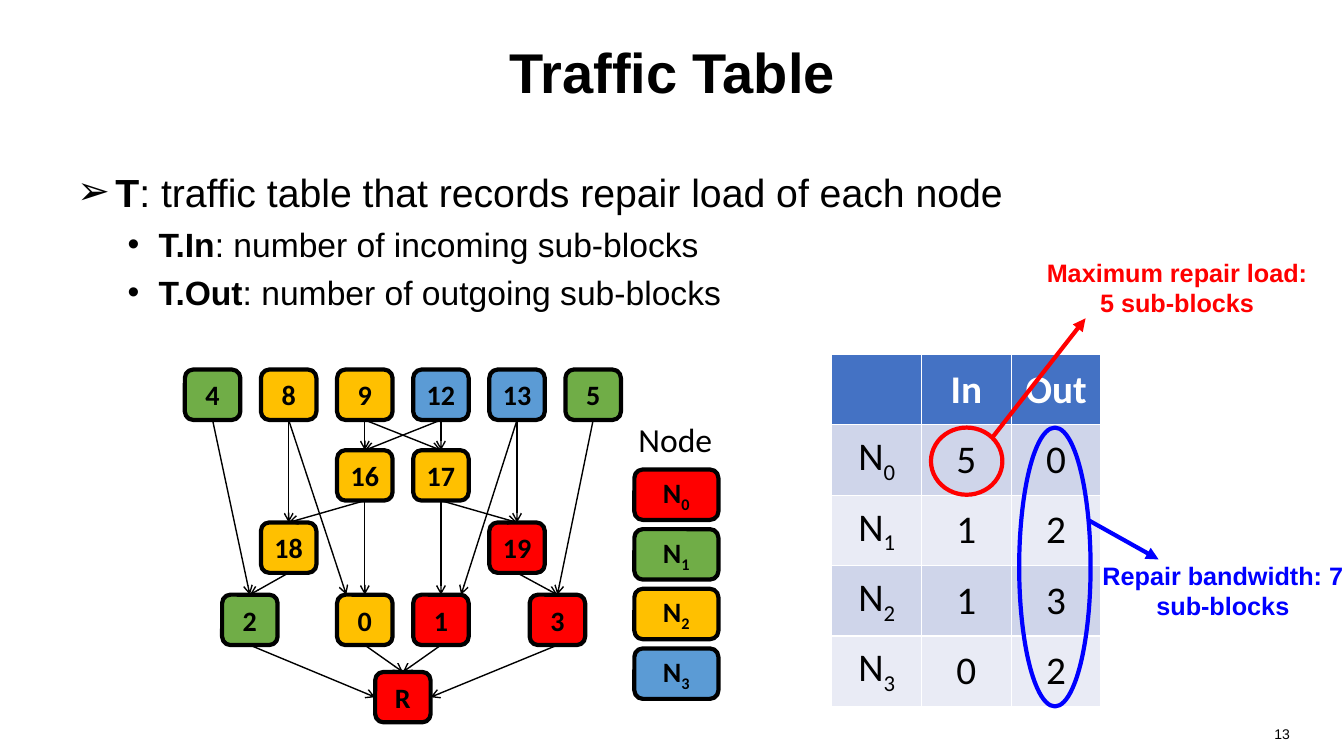
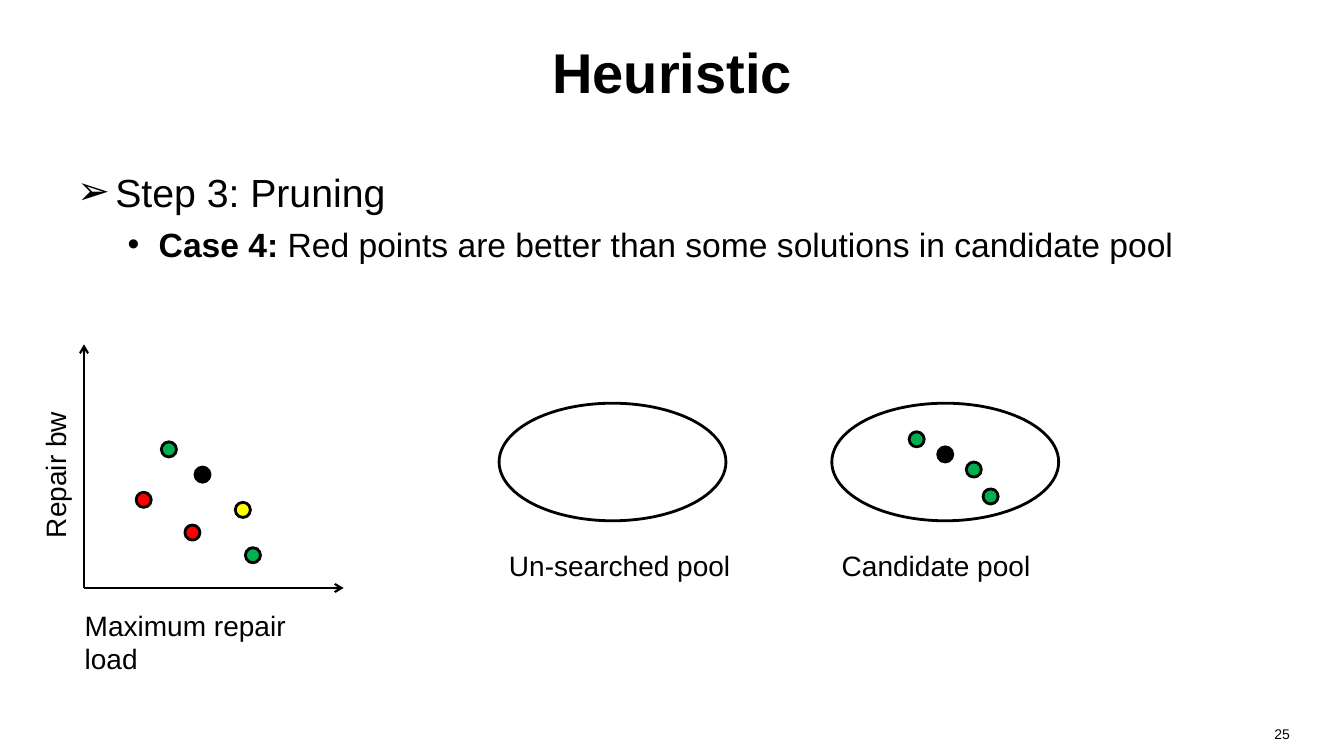
"""Build two slides on repair traffic, laid out on a grid of 160 columns by 90 rows."""
from dataclasses import dataclass
from typing import Any, NamedTuple, Optional, Sequence

from lxml import etree
from pptx import Presentation
from pptx.dml.color import RGBColor
from pptx.enum.shapes import MSO_CONNECTOR, MSO_SHAPE
from pptx.enum.text import MSO_ANCHOR, PP_ALIGN
from pptx.oxml.ns import qn
from pptx.util import Emu, Inches, Pt

LEFT, CENTER, RIGHT = PP_ALIGN.LEFT, PP_ALIGN.CENTER, PP_ALIGN.RIGHT
TOP, MIDDLE = MSO_ANCHOR.TOP, MSO_ANCHOR.MIDDLE
OVAL, ROUNDED = MSO_SHAPE.OVAL, MSO_SHAPE.ROUNDED_RECTANGLE
STRAIGHT = MSO_CONNECTOR.STRAIGHT

BLACK = RGBColor(0x00, 0x00, 0x00)
WHITE = RGBColor(0xFF, 0xFF, 0xFF)
RED = RGBColor(0xFF, 0x00, 0x00)
BLUE = RGBColor(0x00, 0x00, 0xFF)
YELLOW = RGBColor(0xFF, 0xFF, 0x00)
EMERALD = RGBColor(0x00, 0xB0, 0x50)
GREEN = RGBColor(0x70, 0xAD, 0x47)
AMBER = RGBColor(0xFF, 0xC0, 0x00)
SKY = RGBColor(0x5B, 0x9B, 0xD5)
HEADER = RGBColor(0x44, 0x72, 0xC4)
BANDS = (RGBColor(0xCF, 0xD5, 0xEA), RGBColor(0xE9, 0xEB, 0xF5))
NODE_FILLS = (RED, GREEN, AMBER, SKY)

SLIDE_W, SLIDE_H = Inches(13.33), Inches(7.5)
UNIT = SLIDE_H / 90

TITLE = {"name": "Arial", "size": Pt(40), "bold": True}
BODY = ({"name": "Arial", "size": Pt(28)}, {"name": "Arial", "size": Pt(24)})
FOOTER = {"name": "Arial", "size": Pt(10)}
CAPTION = {"name": "Arial", "size": Pt(20)}
CALLOUT = {"name": "Arial", "size": Pt(18), "bold": True}
NODE = {"name": "Calibri", "size": Pt(20), "bold": True}
LEGEND = {"name": "Calibri", "size": Pt(24)}
CELL = {"name": "Calibri", "size": Pt(28), "bold": False}
HEAD_CELL = {**CELL, "bold": True}


class Box(NamedTuple):
    """A rectangle in grid columns and rows."""
    x: float
    y: float
    w: float
    h: float


class Run(NamedTuple):
    """A piece of text with its own weight or baseline."""
    text: str
    bold: Optional[bool] = None
    sub: bool = False


class Bullet(NamedTuple):
    """A bulleted paragraph at a level of the body."""
    level: int
    runs: Sequence[Run]


@dataclass(frozen=True)
class GraphNode:
    """A block of the repair graph, placed by column and level."""
    name: str
    col: float
    level: int
    owner: int

    @property
    def box(self) -> Box:
        return Box(22 + 9.06 * self.col, LEVELS[self.level], 6.6, 6)


@dataclass(frozen=True)
class Edge:
    """An arrow between blocks, its end moved from the top centre."""
    src: str
    dst: str
    dx: float = 0
    dy: float = 0


@dataclass(frozen=True)
class Dot:
    """A solution point."""
    x: float
    y: float
    fill: RGBColor


@dataclass(frozen=True)
class Callout:
    """A ring, its arrow and its remark, in one colour."""
    ring: Box
    arrow: tuple[float, float, float, float]
    text: str
    box: Box
    color: RGBColor


LEVELS = (44, 53.6, 62.2, 70.8, 80)
GRAPH = (
    GraphNode("4", 0, 0, 1), GraphNode("8", 1, 0, 2), GraphNode("9", 2, 0, 2),
    GraphNode("12", 3, 0, 3), GraphNode("13", 4, 0, 3), GraphNode("5", 5, 0, 1),
    GraphNode("16", 2, 1, 2), GraphNode("17", 3, 1, 2),
    GraphNode("18", 1, 2, 2), GraphNode("19", 4, 2, 0),
    GraphNode("2", 0.49, 3, 1), GraphNode("0", 2, 3, 2),
    GraphNode("1", 3, 3, 0), GraphNode("3", 4.53, 3, 0),
    GraphNode("R", 2.5, 4, 0),
)
EDGES = (
    Edge("9", "16"), Edge("9", "17"), Edge("12", "17"), Edge("12", "16"),
    Edge("8", "18"), Edge("8", "0", -2.2), Edge("16", "18"), Edge("16", "0"),
    Edge("17", "1"), Edge("17", "19"), Edge("13", "1", 2.4), Edge("13", "19"),
    Edge("4", "2"), Edge("18", "2"), Edge("19", "3"), Edge("5", "3"),
    Edge("2", "R", -3.3, 3), Edge("0", "R"), Edge("1", "R"), Edge("3", "R", 3.3, 3),
)
TRAFFIC = ((5, 0), (1, 2), (1, 3), (0, 2))
CALLOUTS = (
    Callout(Box(110.8, 50.9, 8.5, 8), (118.1, 52.1, 129.2, 37.9),
            "Maximum repair load: 5 sub-blocks", Box(123, 30, 33, 8.5), RED),
    Callout(Box(121.3, 50.9, 8.5, 33.2), (129.5, 61.9, 137.9, 66.6),
            "Repair bandwidth: 7 sub-blocks", Box(130, 66.1, 29.9, 8.5), BLUE),
)
POOLS = ((59.4, "Un-searched pool"), (99, "Candidate pool"))
DOTS = (
    Dot(111.6, 53.2, BLACK), Dot(108.2, 51.4, EMERALD),
    Dot(115, 55, EMERALD), Dot(117, 58.2, EMERALD),
    Dot(23.2, 55.6, BLACK), Dot(22, 62.5, RED), Dot(16.2, 58.6, RED),
    Dot(19.2, 52.6, EMERALD), Dot(28, 59.8, YELLOW), Dot(29.2, 65.2, EMERALD),
)


def grid(*values: float) -> list[Emu]:
    """Turn grid counts into lengths."""
    return [Emu(round(v * UNIT)) for v in values]


def node_name(i: int) -> list[Run]:
    """Return N with its subscript."""
    return [Run("N"), Run(str(i), sub=True)]


def add_runs(p: Any, runs: Sequence[Run], fmt: dict[str, Any], color: RGBColor) -> None:
    """Write the runs of a paragraph in a format."""
    for run in runs:
        r = p.add_run()
        r.text = run.text
        for key, value in fmt.items():
            setattr(r.font, key, value)
        r.font.color.rgb = color
        if run.bold is not None:
            r.font.bold = run.bold
        if run.sub:
            r._r.get_or_add_rPr().set("baseline", "-25000")


def add_text(s: Any, box: Box, text: str, fmt: dict[str, Any], color: RGBColor = BLACK,
             align: Any = LEFT, anchor: Any = TOP) -> Any:
    """Add a wrapped one-paragraph text box."""
    sp = s.shapes.add_textbox(*grid(*box))
    tf = sp.text_frame
    tf.word_wrap, tf.vertical_anchor = True, anchor
    tf.paragraphs[0].alignment = align
    add_runs(tf.paragraphs[0], [Run(text)], fmt, color)
    return sp


def add_bullets(s: Any, bullets: Sequence[Bullet]) -> None:
    """Add the bulleted body."""
    tf = s.shapes.add_textbox(*grid(8, 19.4, 144, 20)).text_frame
    tf.word_wrap = True
    for i, bullet in enumerate(bullets):
        p = tf.add_paragraph() if i else tf.paragraphs[0]
        char, margin, hang = (("➢", 0.38, 0.38), ("•", 0.81, 0.31))[bullet.level]
        pPr = p._p.get_or_add_pPr()
        pPr.set("marL", str(Inches(margin)))
        pPr.set("indent", str(-Inches(hang)))
        etree.SubElement(pPr, qn("a:buFont")).set("typeface", "Arial")
        etree.SubElement(pPr, qn("a:buChar")).set("char", char)
        if i:
            p.space_before = Pt(6)
        add_runs(p, bullet.runs, BODY[bullet.level], BLACK)


def add_shape(s: Any, kind: Any, box: Box, fill: Optional[RGBColor], line: RGBColor,
              width: float, runs: Sequence[Run] = ()) -> None:
    """Add an outlined shape with an optional label."""
    sp = s.shapes.add_shape(kind, *grid(*box))
    sp.shadow.inherit = False
    if fill is None:
        sp.fill.background()
    else:
        sp.fill.solid()
        sp.fill.fore_color.rgb = fill
    sp.line.color.rgb, sp.line.width = line, Pt(width)
    if runs:
        tf = sp.text_frame
        tf.vertical_anchor = MIDDLE
        tf.paragraphs[0].alignment = CENTER
        add_runs(tf.paragraphs[0], runs, NODE, BLACK)


def add_arrow(s: Any, points: Sequence[float], color: RGBColor = BLACK,
              width: float = 1, head: str = "arrow") -> None:
    """Add a straight arrow."""
    c = s.shapes.add_connector(STRAIGHT, *grid(*points))
    c.line.color.rgb, c.line.width = color, Pt(width)
    etree.SubElement(c.line._get_or_add_ln(), qn("a:tailEnd")).set("type", head)
    etree.SubElement(c._element.spPr, qn("a:effectLst"))


def add_slide(prs: Any, title: str, number: int, bullets: Sequence[Bullet]) -> Any:
    """Add a slide with title, body and page number."""
    s = prs.slides.add_slide(prs.slide_layouts[6])
    add_text(s, Box(8, 1, 144, 15), title, TITLE, align=CENTER, anchor=MIDDLE)
    add_bullets(s, bullets)
    add_text(s, Box(117.4, 85.8, 37.3, 4.2), str(number), FOOTER, align=RIGHT)
    return s


def add_traffic_table(s: Any) -> None:
    """Add the table of incoming and outgoing sub-blocks."""
    rows = [[[], [Run("In")], [Run("Out")]]]
    rows += [[node_name(i), *([Run(str(v))] for v in loads)]
             for i, loads in enumerate(TRAFFIC)]
    table = s.shapes.add_table(len(rows), 3, *grid(99, 42.2, 32.04, 41.9)).table
    for i, row in enumerate(rows):
        table.rows[i].height = grid(8.38)[0]
        for j, runs in enumerate(row):
            cell = table.cell(i, j)
            cell.fill.solid()
            cell.fill.fore_color.rgb = BANDS[(i - 1) % 2] if i else HEADER
            cell.vertical_anchor = MIDDLE
            p = cell.text_frame.paragraphs[0]
            p.alignment = CENTER
            add_runs(p, runs, CELL if i else HEAD_CELL, BLACK if i else WHITE)


def add_graph(s: Any) -> None:
    """Add the repair graph and its legend."""
    boxes = {n.name: n.box for n in GRAPH}
    for n in GRAPH:
        add_shape(s, ROUNDED, n.box, NODE_FILLS[n.owner], BLACK, 3, [Run(n.name)])
    for e in EDGES:
        a, b = boxes[e.src], boxes[e.dst]
        add_arrow(s, (a.x + a.w / 2, a.y + a.h, b.x + b.w / 2 + e.dx, b.y + e.dy))
    add_text(s, Box(74.8, 49.3, 13, 6), "Node", LEGEND)
    for i, fill in enumerate(NODE_FILLS):
        add_shape(s, ROUNDED, Box(75.5, 55.9 + 7.1 * i, 10, 6), fill, BLACK, 3, node_name(i))


def build_traffic(prs: Any) -> None:
    """Build the traffic table slide."""
    s = add_slide(prs, "Traffic Table", 13, [
        Bullet(0, [Run("T", True), Run(": traffic table that records repair load of each node")]),
        Bullet(1, [Run("T.In", True), Run(": number of incoming sub-blocks")]),
        Bullet(1, [Run("T.Out", True), Run(": number of outgoing sub-blocks")])])
    add_traffic_table(s)
    add_graph(s)
    for c in CALLOUTS:
        add_shape(s, OVAL, c.ring, None, c.color, 3)
        add_arrow(s, c.arrow, c.color, 3, "triangle")
        sp = add_text(s, c.box, c.text, CALLOUT, c.color, CENTER)
        sp.text_frame.margin_right = 0


def build_heuristic(prs: Any) -> None:
    """Build the pruning slide."""
    s = add_slide(prs, "Heuristic", 25, [
        Bullet(0, [Run("Step 3: Pruning")]),
        Bullet(1, [Run("Case 4: ", True),
                   Run("Red points are better than some solutions in candidate pool")])])
    for x, name in POOLS:
        add_shape(s, OVAL, Box(x, 48, 27, 14), WHITE, BLACK, 2)
        add_text(s, Box(x, 64.7, 30, 5.3), name, CAPTION)
    for end in ((40.9, 70), (10, 41)):
        add_arrow(s, (10, 70, *end), width=1.5)
    add_text(s, Box(8.9, 71.8, 30, 9), "Maximum repair load", CAPTION)
    sp = add_text(s, Box(-3.4, 53.9, 20, 5.3), "Repair bw", CAPTION, align=CENTER)
    sp.rotation = 270
    for d in DOTS:
        add_shape(s, OVAL, Box(d.x, d.y, 1.8, 1.8), d.fill, BLACK, 2)


def main() -> None:
    """Build and save the deck."""
    prs = Presentation()
    prs.slide_width, prs.slide_height = SLIDE_W, SLIDE_H
    build_traffic(prs)
    build_heuristic(prs)
    prs.save("out.pptx")


if __name__ == "__main__":
    main()
